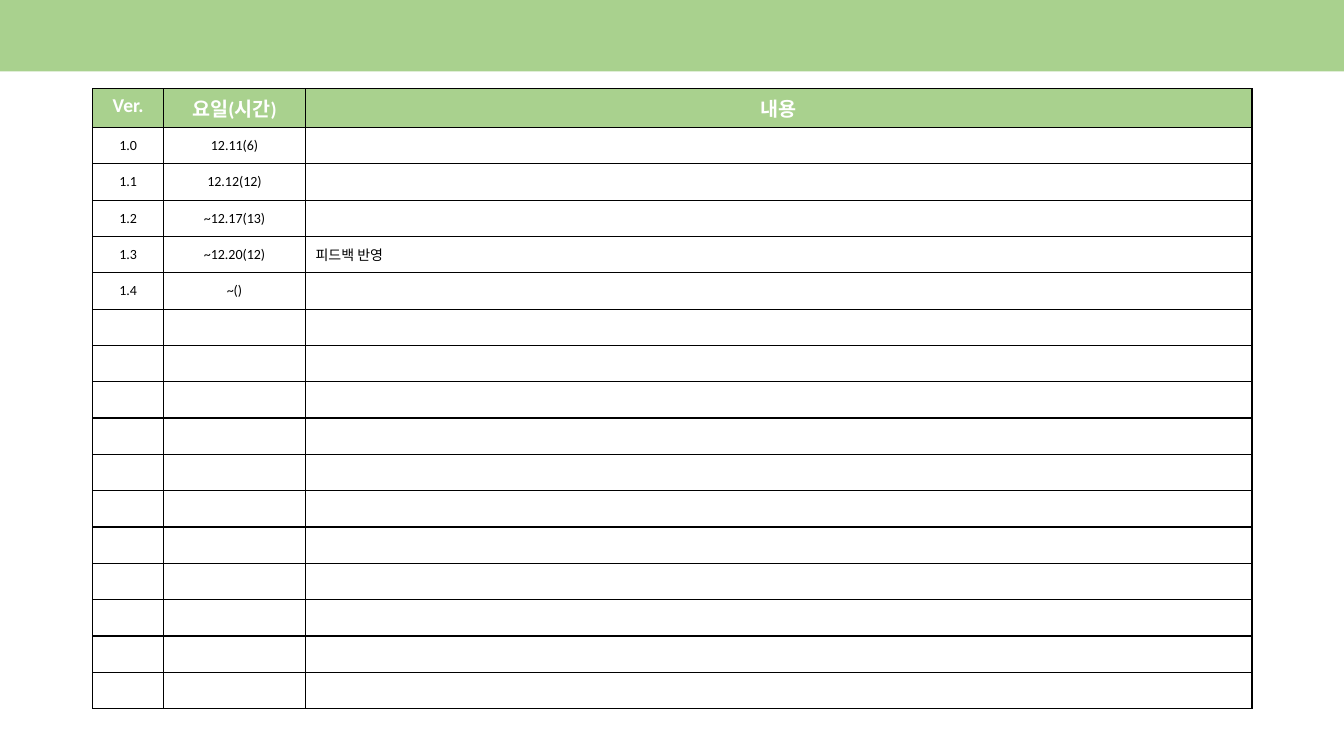
import pptx
import pptx.util
import pptx.dml.color
import pptx.enum.shapes
import pptx.enum.text
import pptx.oxml
import pptx.oxml.ns
import lxml.etree

Cm = pptx.util.Cm
Pt = pptx.util.Pt
RGBColor = pptx.dml.color.RGBColor
PP_ALIGN = pptx.enum.text.PP_ALIGN
MSO_ANCHOR = pptx.enum.text.MSO_ANCHOR
qn = pptx.oxml.ns.qn

GREEN = RGBColor(0xA9, 0xD1, 0x8E)
WHITE = RGBColor(0xFF, 0xFF, 0xFF)
BLACK = RGBColor(0x00, 0x00, 0x00)
FONT = "Calibri"

HEADER = ("Ver.", "요일(시간)", "내용")
VERSIONS = [
    ("1.0", "12.11(6)", ""),
    ("1.1", "12.12(12)", ""),
    ("1.2", "~12.17(13)", ""),
    ("1.3", "~12.20(12)", "피드백 반영"),
    ("1.4", "~()", ""),
]
EMPTY_ROWS = 11
COLUMN_WIDTHS = (1.78, 3.58, 23.85)
TABLE_HEIGHT = 15.62
HEADER_HEIGHT = 0.97


def add_borders(cell):
    tcPr = cell._tc.get_or_add_tcPr()
    for side in ("a:lnL", "a:lnR", "a:lnT", "a:lnB"):
        ln = lxml.etree.SubElement(tcPr, qn(side), w=str(Pt(1)))
        fill = lxml.etree.SubElement(ln, qn("a:solidFill"))
        lxml.etree.SubElement(fill, qn("a:srgbClr"), val=str(BLACK))


prs = pptx.Presentation()
prs.slide_width = Cm(33.87)
prs.slide_height = Cm(19.05)
s = prs.slides.add_slide(prs.slide_layouts[6])

band = s.shapes.add_shape(
    pptx.enum.shapes.MSO_SHAPE.RECTANGLE, 0, 0, prs.slide_width, Cm(1.8))
band.shadow.inherit = False
band.fill.solid()
band.fill.fore_color.rgb = GREEN
band.line.fill.background()

rows = [HEADER] + VERSIONS + [("", "", "")] * EMPTY_ROWS
table = s.shapes.add_table(
    len(rows), len(HEADER), Cm(2.34), Cm(2.24),
    Cm(sum(COLUMN_WIDTHS)), Cm(TABLE_HEIGHT)).table
table.horz_banding = False

for column, width in zip(table.columns, COLUMN_WIDTHS):
    column.width = Cm(width)

body_height = (TABLE_HEIGHT - HEADER_HEIGHT) / (len(rows) - 1)
for i, texts in enumerate(rows):
    is_header = i == 0
    table.rows[i].height = Cm(HEADER_HEIGHT if is_header else body_height)
    size = Pt(14 if is_header else 10)
    for j, text in enumerate(texts):
        cell = table.cell(i, j)
        add_borders(cell)
        cell.fill.solid()
        cell.fill.fore_color.rgb = GREEN if is_header else WHITE
        cell.vertical_anchor = MSO_ANCHOR.TOP if is_header else MSO_ANCHOR.MIDDLE
        p = cell.text_frame.paragraphs[0]
        p.alignment = PP_ALIGN.CENTER if is_header or j < 2 else PP_ALIGN.LEFT
        if text:
            r = p.add_run()
            r.text = text
            r.font.name = FONT
            r.font.size = size
            r.font.bold = is_header
            r.font.color.rgb = WHITE if is_header else BLACK
        else:
            lxml.etree.SubElement(
                p._p, qn("a:endParaRPr"), sz=str(int(size.pt * 100)))

prs.save("out.pptx")
